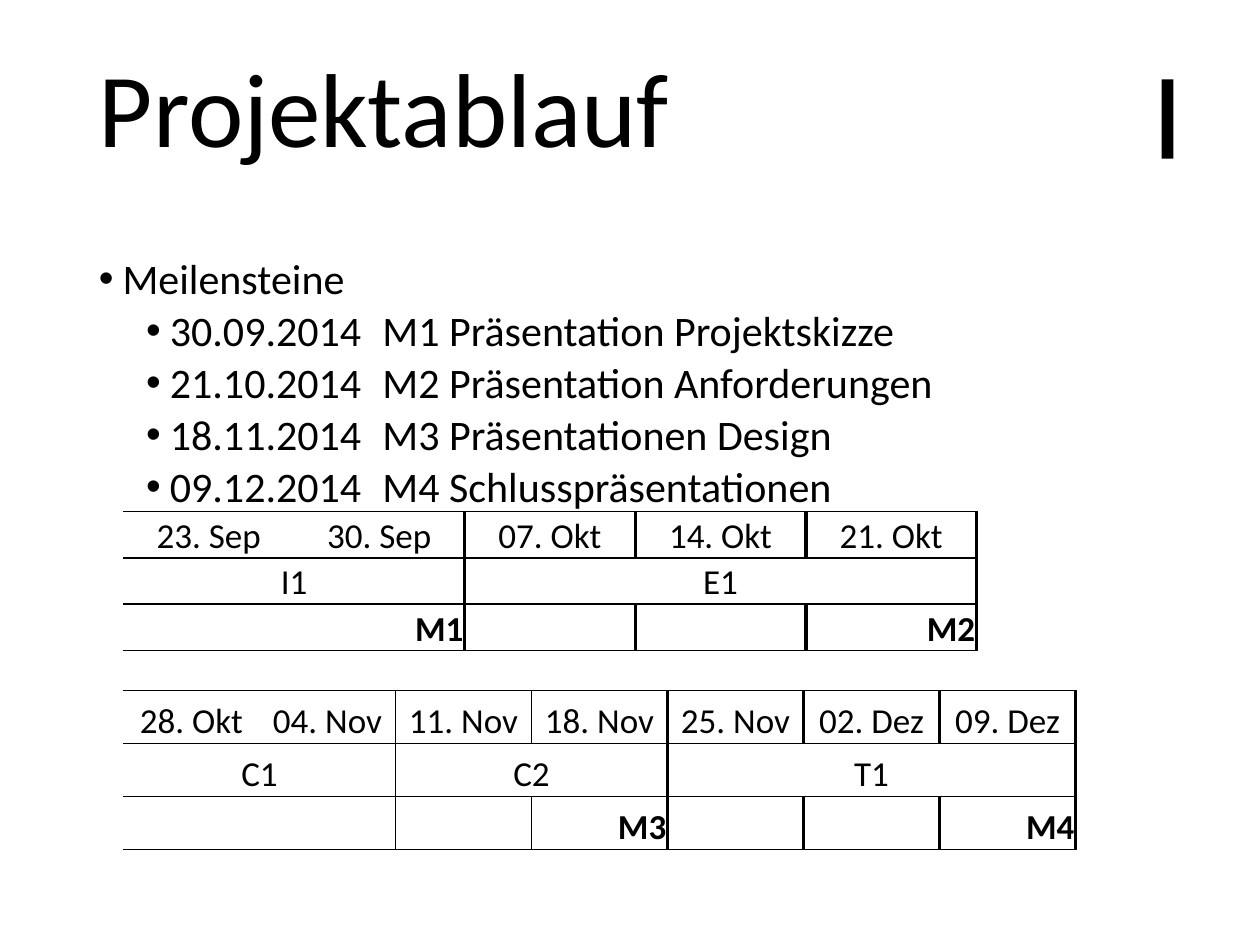
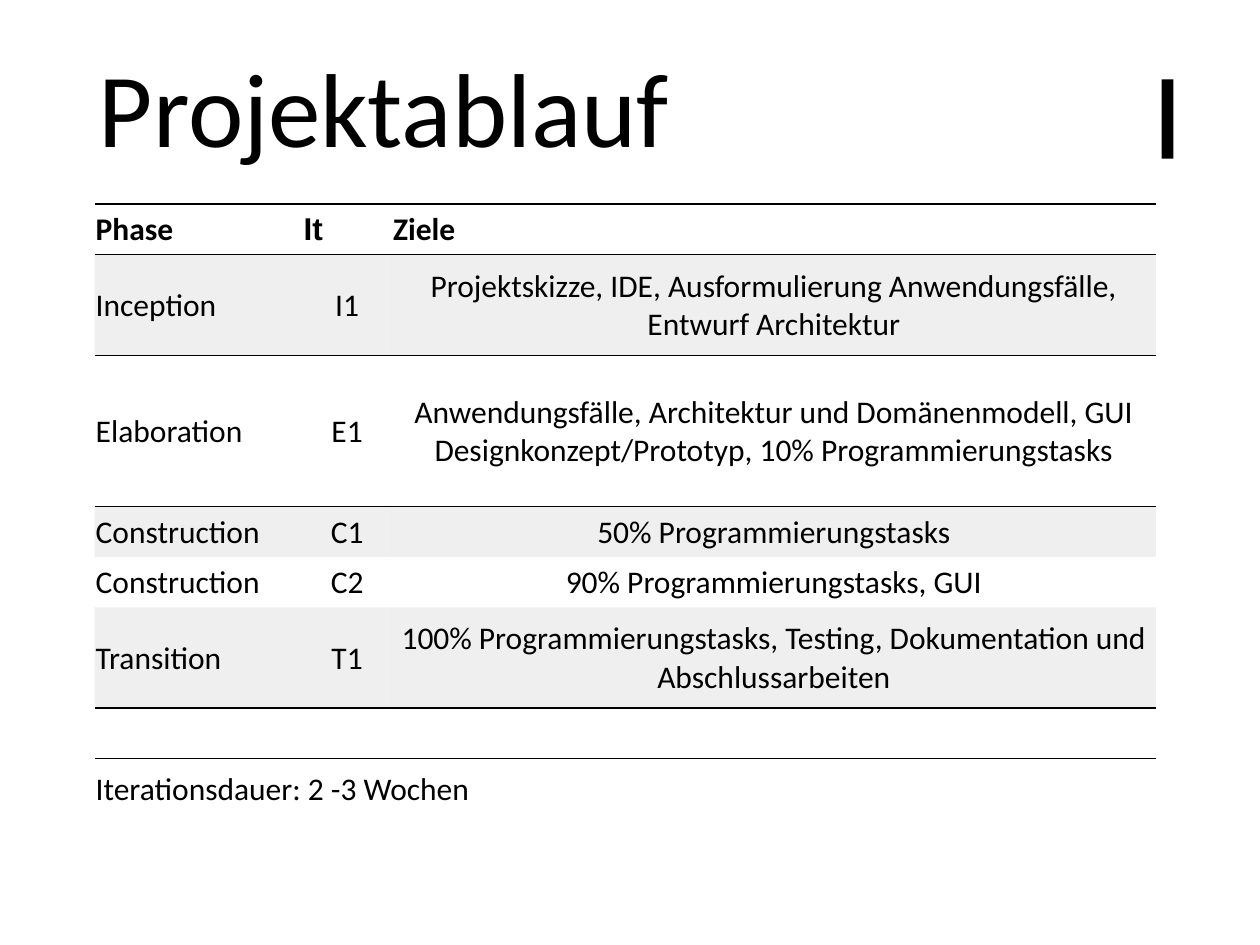
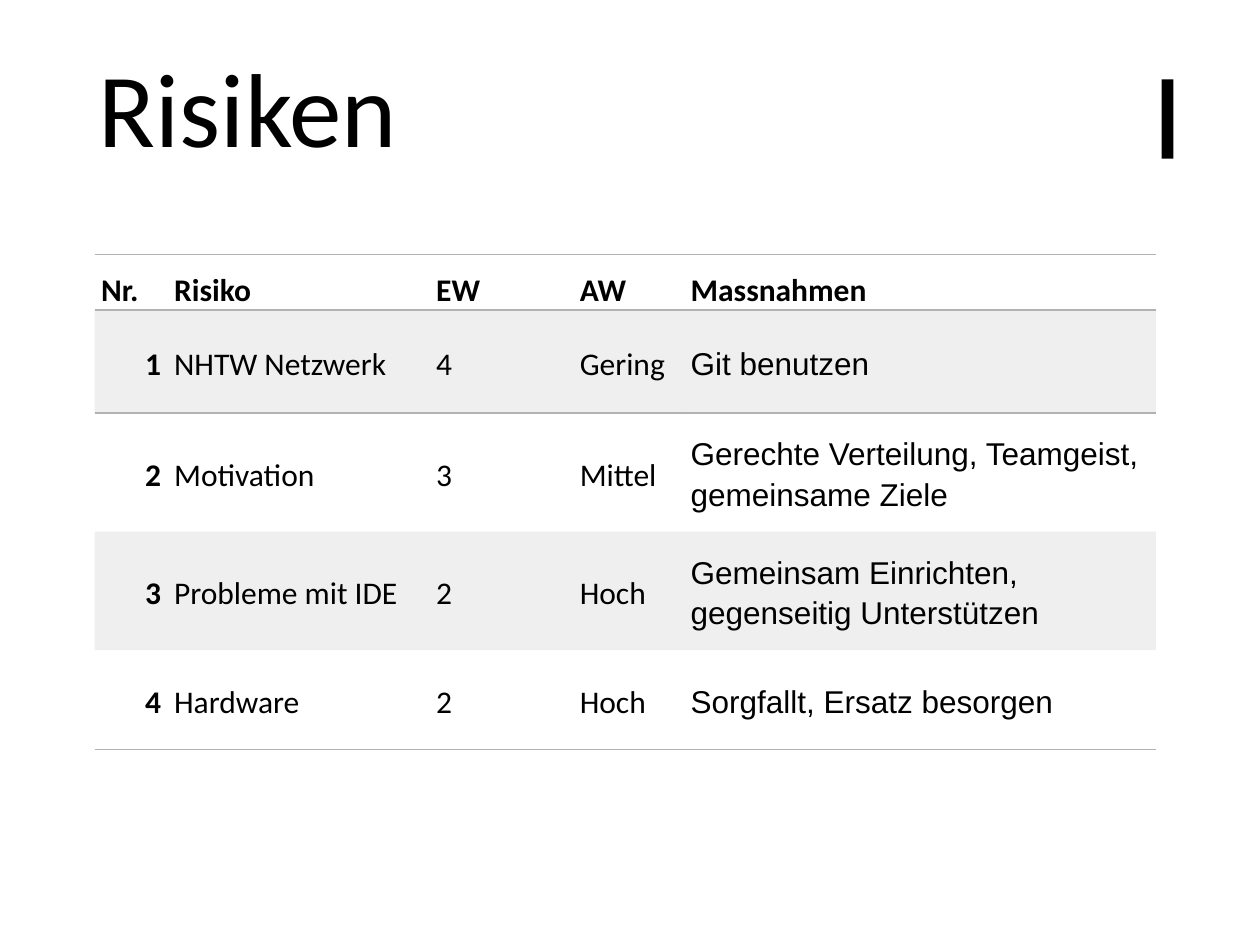
from lxml import etree
from pptx import Presentation
from pptx import util as u
from pptx.dml.color import RGBColor
from pptx.enum import shapes, text
from pptx.oxml.ns import qn

BLACK, GREY = "000000", "B2B2B2"
BODY_FONT, PLAIN_FONT = "Calibri", "Arial"
PLAIN_TABLE_STYLE = "{2D5ABB26-0587-4C30-8999-92F81FD0307C}"
LEFT, CENTER, RIGHT = text.PP_ALIGN.LEFT, text.PP_ALIGN.CENTER, text.PP_ALIGN.RIGHT
MIDDLE, BOTTOM = text.MSO_ANCHOR.MIDDLE, text.MSO_ANCHOR.BOTTOM


def color(hex_value):
    """Turn a hex string into a colour."""
    return RGBColor.from_string(hex_value)


def write(paragraph, value, size=18, bold=False, font=BODY_FONT, align=LEFT, spacing=None, before=0):
    """Add formatted text to a paragraph."""
    paragraph.alignment = align
    paragraph.line_spacing = spacing
    paragraph.space_before = u.Pt(before)
    run = paragraph.add_run()
    run.text = value
    run.font.size, run.font.bold, run.font.name = u.Pt(size), bold, font
    run.font.color.rgb = color(BLACK)


def add_bullet(paragraph, indent):
    """Give a paragraph a hanging bullet and its tab width."""
    properties = paragraph._p.get_or_add_pPr()
    properties.set("marL", str(u.Pt(indent)))
    properties.set("indent", str(-u.Pt(13.5)))
    properties.set("defTabSz", str(u.Pt(54)))
    etree.SubElement(properties, qn("a:buFont"), typeface=PLAIN_FONT)
    etree.SubElement(properties, qn("a:buChar"), char="•")


def add_frame(slide, left, top, width, height):
    """Add a wrapping text box and return its text frame."""
    frame = slide.shapes.add_textbox(u.Pt(left), u.Pt(top), u.Pt(width), u.Pt(height)).text_frame
    frame.word_wrap = True
    return frame


def add_slide(presentation, title):
    """Add a slide with the shared title and black bar."""
    slide = presentation.slides.add_slide(presentation.slide_layouts[6])
    bar = slide.shapes.add_shape(shapes.MSO_SHAPE.RECTANGLE, u.Pt(663.84), u.Pt(45.36), u.Pt(6.75), u.Pt(45.36))
    bar.shadow.inherit = False
    bar.fill.solid()
    bar.fill.fore_color.rgb = color(BLACK)
    bar.line.fill.background()
    frame = add_frame(slide, 49.5, 28.8, 621, 104.4)
    write(frame.paragraphs[0], title, size=60, spacing=0.9)
    return slide


def add_border(cell, side, width, hex_value):
    """Draw one border of a cell."""
    line = etree.SubElement(cell._tc.get_or_add_tcPr(), qn("a:ln" + side), w=str(u.Pt(width)))
    fill = etree.SubElement(line, qn("a:solidFill"))
    etree.SubElement(fill, qn("a:srgbClr"), val=hex_value)


def shade(cell):
    """Fill a cell with translucent grey."""
    cell.fill.solid()
    cell.fill.fore_color.rgb = color(GREY)
    tint = cell._tc.tcPr.find(qn("a:solidFill")).find(qn("a:srgbClr"))
    etree.SubElement(tint, qn("a:alpha"), val="20000")


def add_table(slide, left, top, widths, heights, rows, cell_format, lines, dividers=None,
              line_color=BLACK, shaded=(), margins=(0.72, 0.72), anchor=lambda row: MIDDLE):
    """Add a ruled table in which None continues the cell to its left."""
    dividers = dividers or {}
    shape = slide.shapes.add_table(len(rows), len(widths), u.Pt(left), u.Pt(top),
                                   u.Pt(sum(widths)), u.Pt(sum(heights)))
    table = shape.table
    table.first_row = table.horz_banding = False
    table._tbl.tblPr.find(qn("a:tableStyleId")).text = PLAIN_TABLE_STYLE
    for column, width in zip(table.columns, widths):
        column.width = u.Pt(width)
    for row, height in zip(table.rows, heights):
        row.height = u.Pt(height)
    for r, values in enumerate(rows):
        for c, value in enumerate(values):
            cell = table.cell(r, c)
            end = c + 1
            while end < len(values) and values[end] is None:
                end += 1
            if value is not None and c in dividers:
                add_border(cell, "L", dividers[c], line_color)
            if end in dividers:
                add_border(cell, "R", dividers[end], line_color)
            for side, edge in (("T", r), ("B", r + 1)):
                if edge in lines:
                    add_border(cell, side, 1, line_color)
            if r in shaded:
                shade(cell)
            else:
                cell.fill.background()
            cell.margin_left = cell.margin_right = u.Pt(margins[0])
            cell.margin_top, cell.margin_bottom = u.Pt(margins[1]), 0
            cell.vertical_anchor = anchor(r)
            if value is not None:
                write(cell.text_frame.paragraphs[0], value, **cell_format(r, c))
                if end > c + 1:
                    cell.merge(table.cell(r, end - 1))


def add_schedule(slide, top, width, height, rows, dividers):
    """Add a timeline of dates, iterations and milestones."""
    add_table(slide, 70.56, top, [width] * len(rows[0]), [height] * 3, rows,
              lambda r, c: dict(size=20, bold=r == 2, align=RIGHT if r == 2 else CENTER),
              lines=range(4), dividers=dividers, anchor=lambda r: BOTTOM)


def build_milestones(presentation):
    """Build the slide with milestones and timelines."""
    slide = add_slide(presentation, "Projektablauf")
    frame = add_frame(slide, 49.5, 144, 621, 342.72)
    write(frame.paragraphs[0], "Meilensteine", size=24, spacing=0.9, before=7.5)
    add_bullet(frame.paragraphs[0], 13.5)
    for date, milestone in (("30.09.2014", "M1 Präsentation Projektskizze"),
                            ("21.10.2014", "M2 Präsentation Anforderungen"),
                            ("18.11.2014", "M3 Präsentationen Design"),
                            ("09.12.2014", "M4 Schlusspräsentationen")):
        paragraph = frame.add_paragraph()
        paragraph.level = 1
        write(paragraph, f"{date} \t{milestone}", size=24, spacing=0.9, before=3.75)
        add_bullet(paragraph, 40.5)
    add_schedule(slide, 292.32, 97.5, 26.5, [
        ["23. Sep", "30. Sep", "07. Okt", "14. Okt", "21. Okt"],
        ["I1", None, "E1", None, None],
        ["", "M1", "", "", "M2"],
    ], {2: 2.25, 3: 2.25, 5: 2.25})
    add_schedule(slide, 394.56, 77.75, 30.25, [
        ["28. Okt", "04. Nov", "11. Nov", "18. Nov", "25. Nov", "02. Dez", "09. Dez"],
        ["C1", None, "C2", None, "T1", None, None],
        ["", "", "", "M3", "", "", "M4"],
    ], {2: 1, 3: 1, 4: 2.25, 5: 2.25, 7: 2.25})


def build_phases(presentation):
    """Build the slide with phases and goals."""
    slide = add_slide(presentation, "Projektablauf")
    rows = [
        ["Phase", "It", "Ziele"],
        ["Inception", "I1", "Projektskizze, IDE, Ausformulierung Anwendungsfälle, Entwurf Architektur"],
        ["Elaboration", "E1", "Anwendungsfälle, Architektur und Domänenmodell, GUI "
                              "Designkonzept/Prototyp, 10% Programmierungstasks"],
        ["Construction", "C1", "50% Programmierungstasks"],
        ["Construction", "C2", "90% Programmierungstasks, GUI"],
        ["Transition", "T1", "100% Programmierungstasks, Testing, Dokumentation und Abschlussarbeiten"],
        ["", "", ""],
        ["Iterationsdauer: 2 -3 Wochen", None, None],
    ]
    add_table(slide, 54, 116.64, [118.8, 51.12, 436.6],
              [28.8 * units for units in (1, 2, 3, 1, 1, 2, 1, 1)], rows,
              lambda r, c: dict(bold=r == 0, align=CENTER if r and c else LEFT,
                                font=PLAIN_FONT if (r, c) == (0, 1) else BODY_FONT),
              lines=(0, 1, 2, 6), shaded=(1, 3, 5), anchor=lambda r: BOTTOM if r == 7 else MIDDLE)


def build_risks(presentation):
    """Build the slide with risks and measures."""
    slide = add_slide(presentation, "Risiken")
    rows = [
        ["Nr.", "Risiko", "EW", "AW", "Massnahmen"],
        ["1", "NHTW Netzwerk", "4", "Gering", "Git benutzen"],
        ["2", "Motivation", "3", "Mittel", "Gerechte Verteilung, Teamgeist, gemeinsame Ziele"],
        ["3", "Probleme mit IDE", "2", "Hoch", "Gemeinsam Einrichten, gegenseitig Unterstützen"],
        ["4", "Hardware", "2", "Hoch", "Sorgfallt, Ersatz besorgen"],
    ]
    add_table(slide, 54, 145.44, [41.76, 149.76, 82.08, 63.36, 269.6],
              [31.68, 59.04, 67.68, 67.68, 56.88], rows,
              lambda r, c: dict(bold=r == 0 or c == 0, align=RIGHT if r and c == 0 else LEFT,
                                font=PLAIN_FONT if r and c == 4 else BODY_FONT, spacing=1.15),
              lines=(0, 1, 5), line_color=GREY, shaded=(1, 3), margins=(3.75, 0),
              anchor=lambda r: MIDDLE if r else BOTTOM)


def main():
    """Build and save the presentation."""
    presentation = Presentation()
    presentation.slide_width, presentation.slide_height = u.Pt(720), u.Pt(540)
    build_milestones(presentation)
    build_phases(presentation)
    build_risks(presentation)
    presentation.save("out.pptx")


main()
